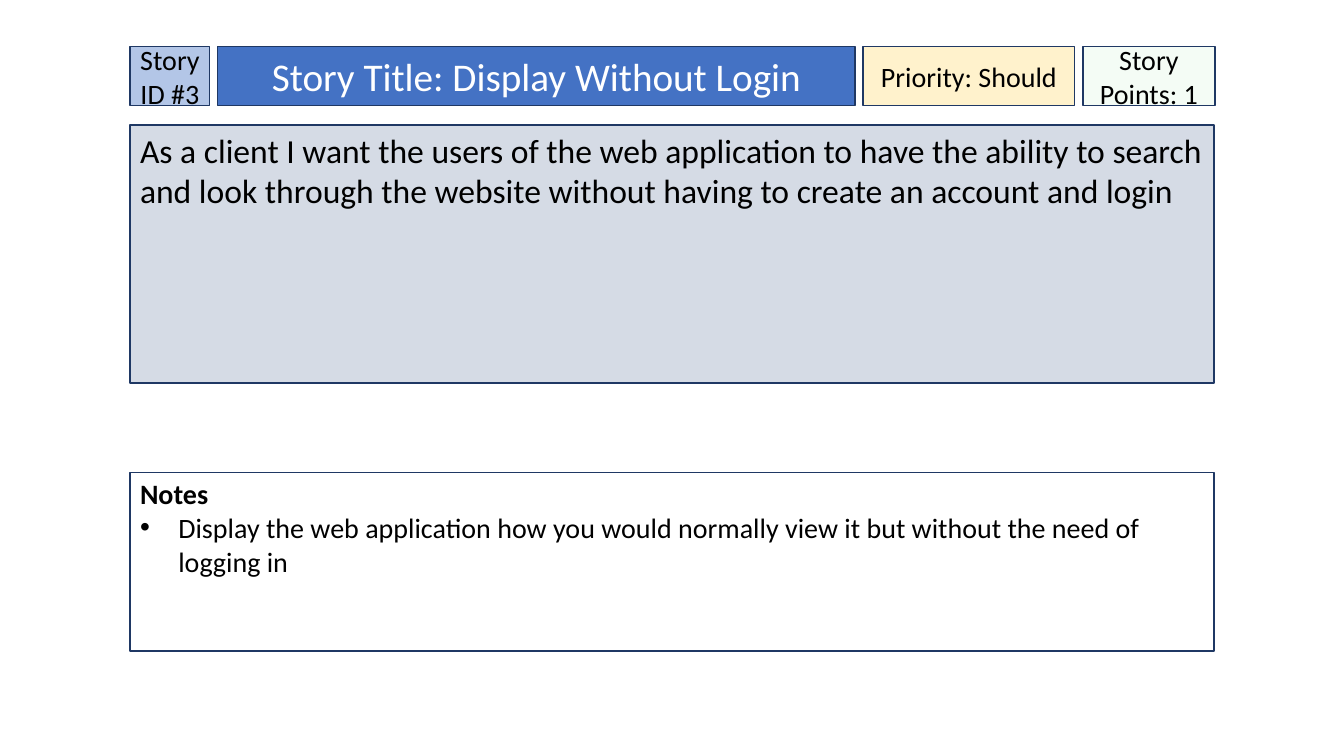
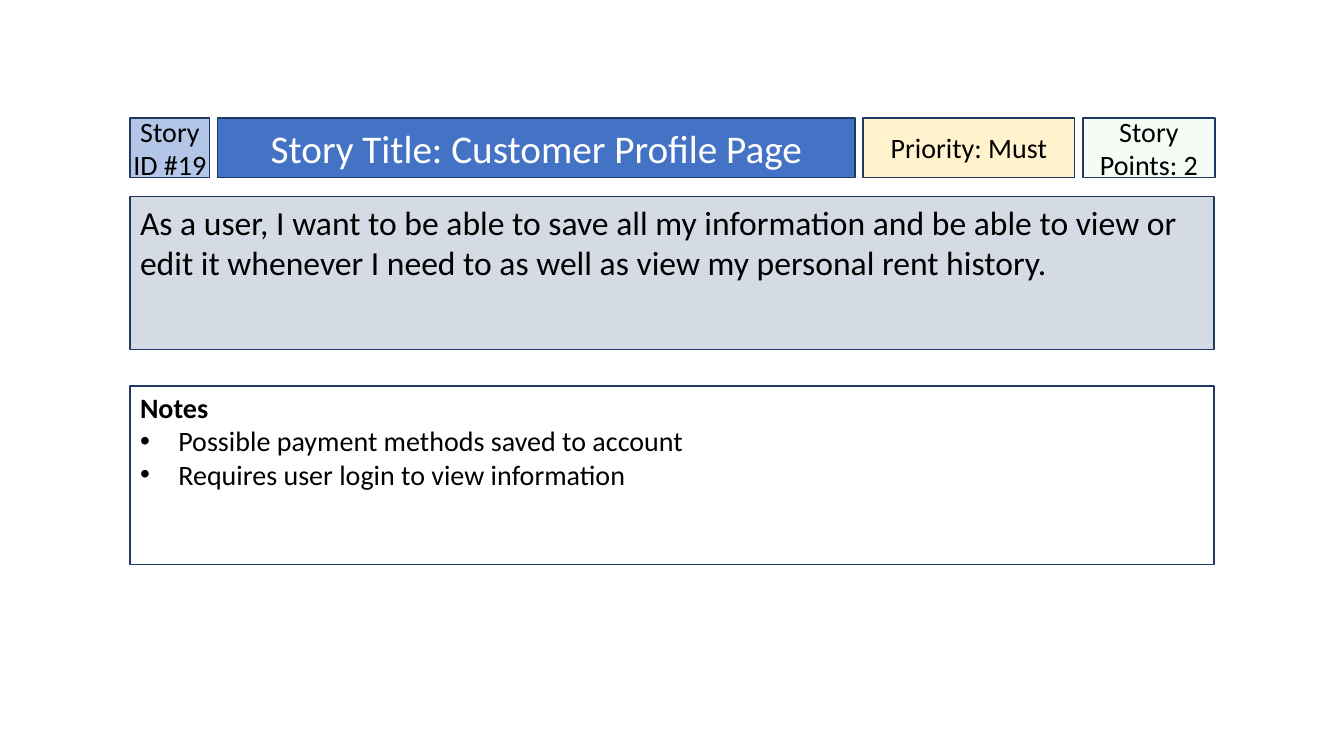
"""Build two user story cards, one per slide."""
from lxml.etree import SubElement
from pptx import Presentation
from pptx.dml.color import RGBColor
from pptx.enum.shapes import MSO_SHAPE
from pptx.enum.text import MSO_ANCHOR, PP_ALIGN
from pptx.oxml.ns import qn
from pptx.util import Inches, Pt

CARDS = [
    {
        "top": 0.46, "tall": 2.56, "gap": 0.89,
        "head": ["Story ID #3", "Story Title: Display Without Login",
                 "Priority: Should", "Story Points: 1"],
        "story": "As a client I want the users of the web application to have "
                 "the ability to search and look through the website without "
                 "having to create an account and login",
        "notes": ["Display the web application how you would normally view it "
                  "but without the need of logging in"],
    },
    {
        "top": 1.17, "tall": 1.52, "gap": 0.36,
        "head": ["Story ID #19", "Story Title: Customer Profile Page",
                 "Priority: Must", "Story Points: 2"],
        "story": "As a user, I want to be able to save all my information and "
                 "be able to view or edit it whenever I need to as well as "
                 "view my personal rent history.",
        "notes": ["Possible payment methods saved to account",
                  "Requires user login to view information"],
    },
]
# width, fill, opacity, text size, text colour, side inset
HEAD = [
    (0.79, "B3C6E7", 100, 20, "000000", 0),
    (6.32, "4472C4", 100, 28, "FFFFFF", 0.1),
    (2.1, "FFF2CC", 100, 20, "000000", 0),
    (1.31, "CCF0CD", 20, 20, "000000", 0),
]
LEFT, WIDE, HIGH, GAP = 1.29, 10.75, 0.59, 0.08
DROP, NOTE, DENT = 0.19, 1.77, 0.38
FONT, EDGE, INK = "Calibri", "1F3864", "000000"


def color(code):
    """Turn a hex string into a colour."""
    return RGBColor.from_string(code)


def box(slide, x, y, w, h, fill, side=0.1, top=0.05, anchor=MSO_ANCHOR.TOP):
    """Add an outlined rectangle ready for text."""
    shape = slide.shapes.add_shape(
        MSO_SHAPE.RECTANGLE, Inches(x), Inches(y), Inches(w), Inches(h))
    shape.shadow.inherit = False
    shape.fill.solid()
    shape.fill.fore_color.rgb = color(fill)
    shape.line.color.rgb = color(EDGE)
    shape.line.width = Pt(1)
    frame = shape.text_frame
    frame.word_wrap = True
    frame.vertical_anchor = anchor
    frame.margin_left = frame.margin_right = Inches(side)
    frame.margin_top, frame.margin_bottom = Inches(top), Inches(0.05)
    return shape


def write(para, text, size, ink=INK, bold=False, align=PP_ALIGN.LEFT):
    """Fill a paragraph with text in one style."""
    para.text = text
    para.alignment = align
    font = para.font
    font.name, font.size, font.bold = FONT, Pt(size), bold
    font.color.rgb = color(ink)


def bullet(para):
    """Give a paragraph a hanging bullet."""
    props = para._p.get_or_add_pPr()
    props.set("marL", str(Inches(DENT)))
    props.set("indent", str(-Inches(DENT)))
    tint = SubElement(props, qn("a:buClr"))
    SubElement(tint, qn("a:srgbClr"), val=INK)
    SubElement(props, qn("a:buFont"), typeface="Arial")
    SubElement(props, qn("a:buChar"), char="•")


def fade(shape, share):
    """Set the opacity of a solid fill in percent."""
    tint = shape._element.spPr.find(qn("a:solidFill"))[0]
    SubElement(tint, qn("a:alpha"), val=str(share * 1000))


def header(slide, y, texts):
    """Lay the four header cells from left to right."""
    x = LEFT
    for text, (w, fill, share, size, ink, side) in zip(texts, HEAD):
        cell = box(slide, x, y, w, HIGH, fill, side, anchor=MSO_ANCHOR.MIDDLE)
        if share < 100:
            fade(cell, share)
        write(cell.text_frame.paragraphs[0], text, size, ink,
              align=PP_ALIGN.CENTER)
        x += w + GAP


def build(slide, card):
    """Stack the header, story and notes of one card."""
    y = card["top"]
    header(slide, y, card["head"])
    y += HIGH + DROP
    story = box(slide, LEFT, y, WIDE, card["tall"], "D5DBE5")
    write(story.text_frame.paragraphs[0], card["story"], 24)
    y += card["tall"] + card["gap"]
    frame = box(slide, LEFT, y, WIDE, NOTE, "FFFFFF", top=0.04).text_frame
    write(frame.paragraphs[0], "Notes", 20, bold=True)
    for note in card["notes"]:
        para = frame.add_paragraph()
        bullet(para)
        write(para, note, 20)


def main():
    """Build and save the deck."""
    deck = Presentation()
    deck.slide_width, deck.slide_height = Inches(13.33), Inches(7.5)
    for card in CARDS:
        build(deck.slides.add_slide(deck.slide_layouts[6]), card)
    deck.save("out.pptx")


if __name__ == "__main__":
    main()
